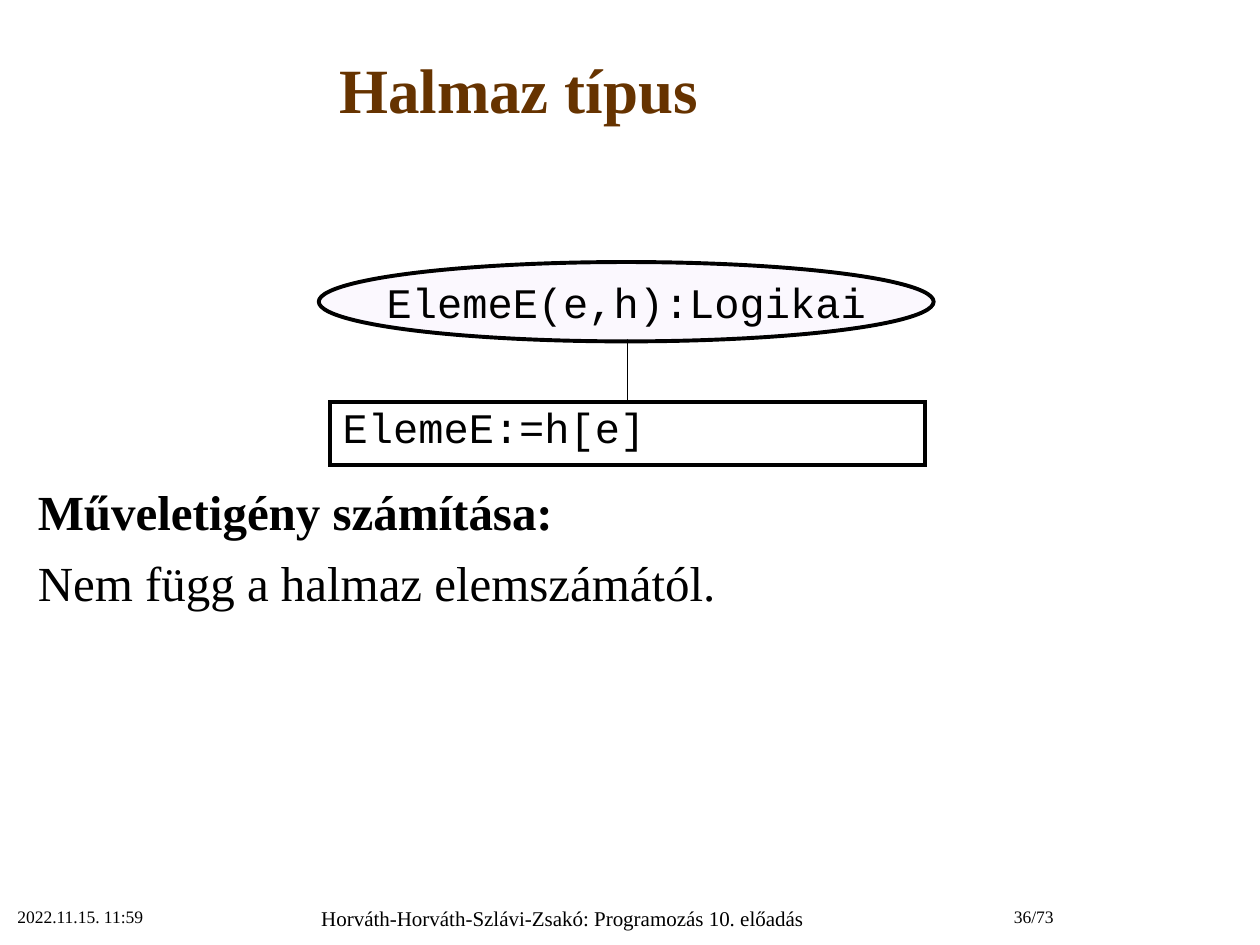
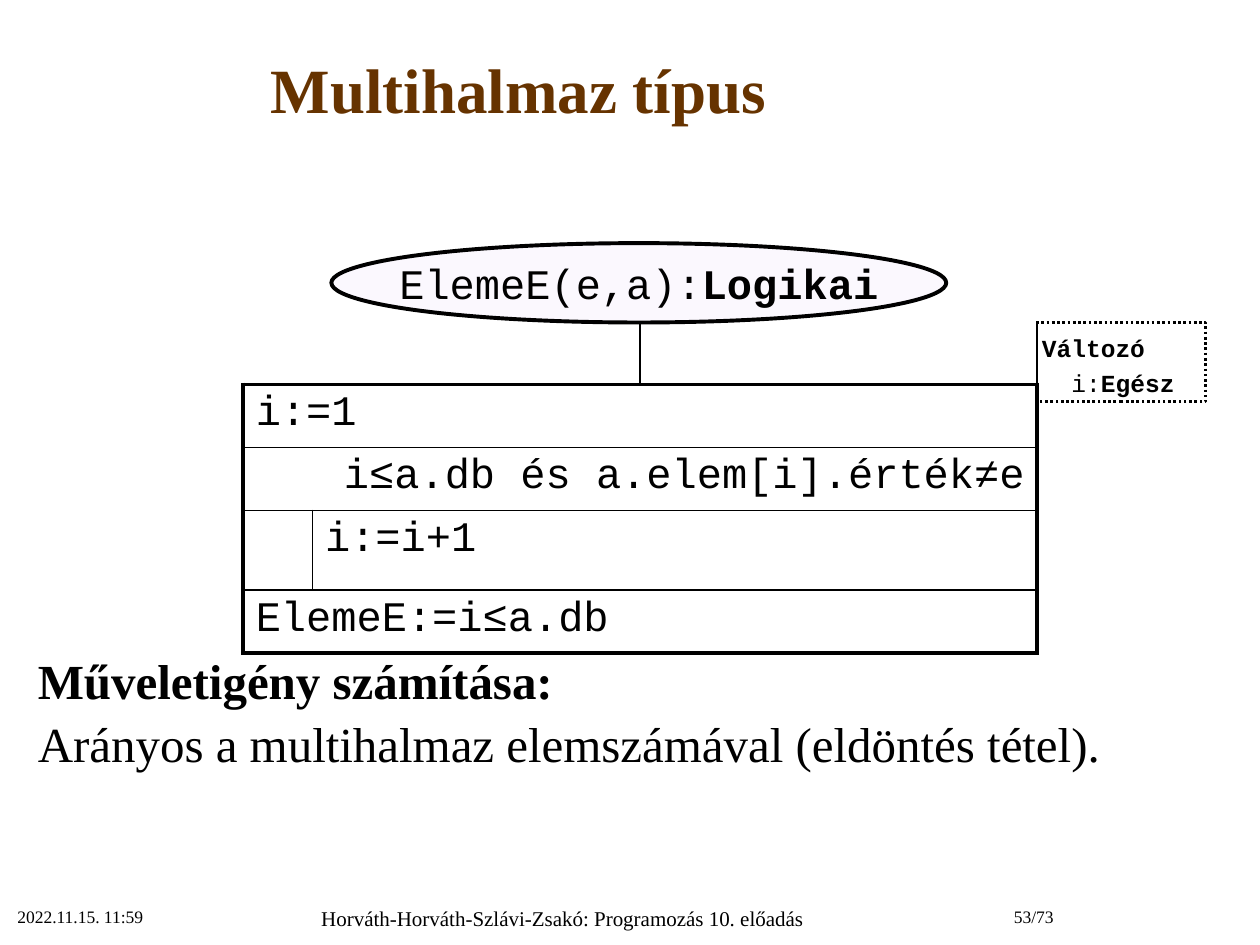
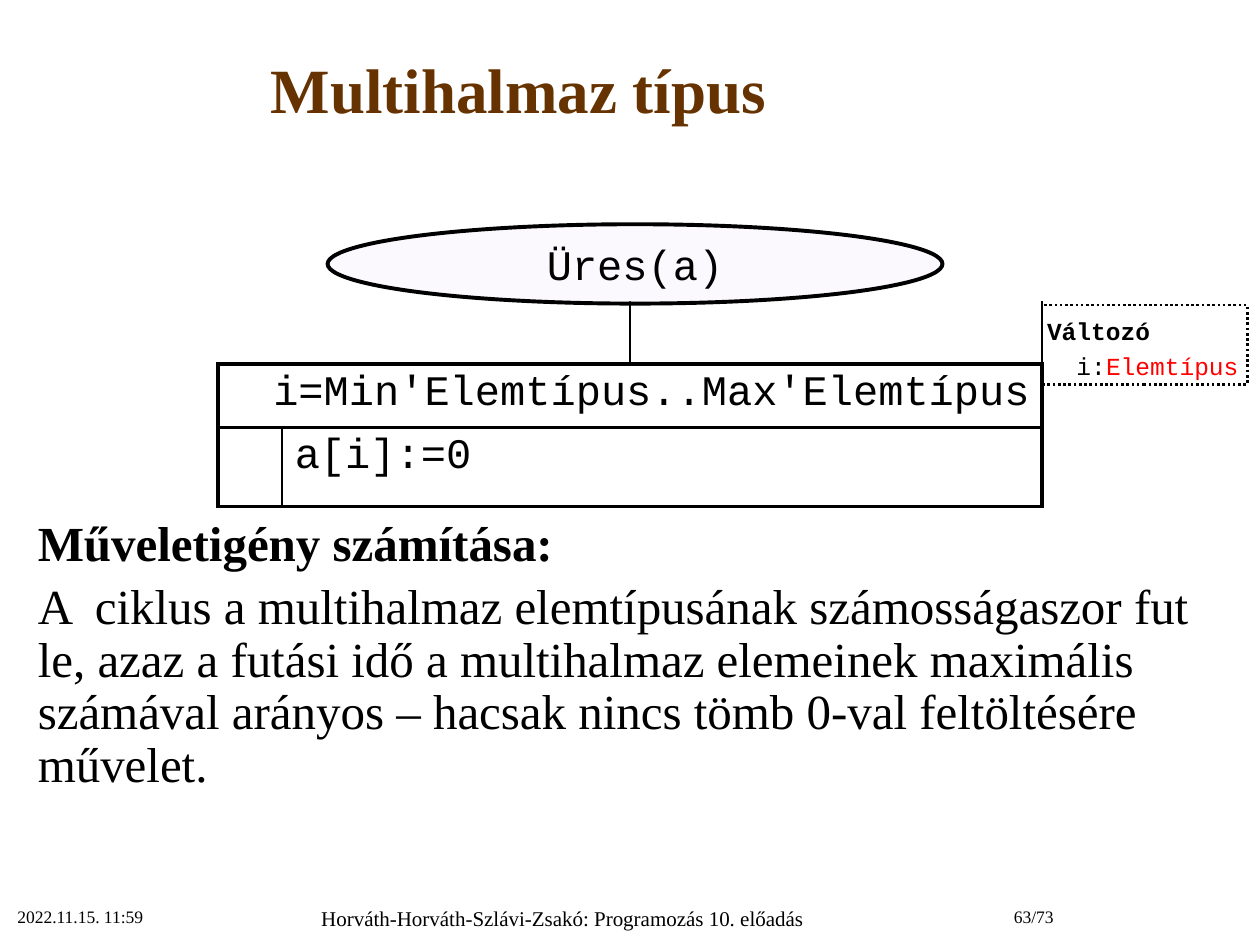
"""Build three lecture slides on set and multiset operations."""
from lxml import etree
from pptx import Presentation, util as u
from pptx.dml import color as dml
from pptx.enum import dml as lines, shapes, text
from pptx.oxml import ns

COLUMNS, ROWS = 100, 75
SERIF, MONO = "Times New Roman", "Courier New"
BLACK, BROWN, RED, LILAC = "000000", "663300", "FF0000", "F3E8FE"
HEAVY, THIN = 2.25, 1
NO_STYLE = "{2D5ABB26-0587-4C30-8999-92F81FD0307C}"
LEFT, CENTER, RIGHT = text.PP_ALIGN.LEFT, text.PP_ALIGN.CENTER, text.PP_ALIGN.RIGHT
DATE = "2022.11.15. 11:59"
FOOTER = "Horváth-Horváth-Szlávi-Zsakó: Programozás 10. előadás"
COST_HEADING = "Műveletigény számítása:"


def rgb(value):
    return dml.RGBColor.from_string(value)


class Deck:
    def __init__(self):
        self.presentation = Presentation()
        self.presentation.slide_width = u.Inches(10)
        self.presentation.slide_height = u.Inches(7.5)
        self.slide = None

    def across(self, columns):
        return round(self.presentation.slide_width * columns / COLUMNS)

    def down(self, rows):
        return round(self.presentation.slide_height * rows / ROWS)

    def box(self, left, top, width, height):
        return self.across(left), self.down(top), self.across(width), self.down(height)

    def place(self, shape, *area):
        shape.left, shape.top, shape.width, shape.height = self.box(*area)

    def add_runs(self, paragraph, content, size, font=SERIF, color=BLACK, bold=False, align=LEFT):
        paragraph.alignment = align
        paragraph.space_before = u.Pt(0)
        runs = [(content, {})] if isinstance(content, str) else content
        for words, changes in runs:
            if words == "\n":
                paragraph.add_line_break()
                continue
            run = paragraph.add_run()
            run.text = words
            run.font.name = font
            run.font.size = u.Pt(size)
            run.font.bold = changes.get("bold", bold)
            run.font.color.rgb = rgb(changes.get("color", color))

    def start(self, title, page):
        self.slide = self.presentation.slides.add_slide(self.presentation.slide_layouts[1])
        shape = self.slide.shapes.title
        self.place(shape, 0, 0.9, 82.3, 12.2)
        frame = shape.text_frame
        frame.auto_size = text.MSO_AUTO_SIZE.NONE
        frame.vertical_anchor = text.MSO_ANCHOR.MIDDLE
        self.add_runs(frame.paragraphs[0], title, 36, color=BROWN, bold=True, align=CENTER)
        self.label(DATE, (0.4, 71.4, 20.8, 3.6), 10, LEFT)
        self.label(FOOTER, (21.2, 71.4, 46.9, 3.6), 12, CENTER)
        self.label(f"{page}/73", (71.9, 71.4, 12.7, 3.6), 10, RIGHT)

    def label(self, words, area, size, align):
        frame = self.slide.shapes.add_textbox(*self.box(*area)).text_frame
        frame.word_wrap = True
        self.add_runs(frame.paragraphs[0], words, size, align=align)

    def cost(self, top, words, gap=6, spacing=u.Pt(30)):
        body = self.slide.placeholders[1]
        self.place(body, 2, top, 98, 70 - top)
        frame = body.text_frame
        frame.auto_size = text.MSO_AUTO_SIZE.NONE
        heading, sentence = frame.paragraphs[0], frame.add_paragraph()
        for paragraph in (heading, sentence):
            properties = paragraph._p.get_or_add_pPr()
            properties.set("marL", "0")
            properties.set("indent", "0")
            etree.SubElement(properties, ns.qn("a:buNone"))
        self.add_runs(heading, COST_HEADING, 28, bold=True)
        self.add_runs(sentence, words, 28)
        sentence.space_before = u.Pt(gap)
        sentence.line_spacing = spacing

    def outline(self, shape, width):
        shape.shadow.inherit = False
        shape.line.color.rgb = rgb(BLACK)
        shape.line.width = u.Pt(width)

    def operation(self, left, top, name):
        shape = self.slide.shapes.add_shape(
            shapes.MSO_SHAPE.OVAL, *self.box(left, top, 48.8, 6.3))
        self.outline(shape, HEAVY)
        shape.fill.solid()
        shape.fill.fore_color.rgb = rgb(LILAC)
        for fill_color in shape.element.spPr.find(ns.qn("a:solidFill")):
            etree.SubElement(fill_color, ns.qn("a:alpha"), val="30000")
        frame = shape.text_frame
        frame.word_wrap = False
        frame.vertical_anchor = text.MSO_ANCHOR.MIDDLE
        self.add_runs(frame.paragraphs[0], name, 24, MONO, align=CENTER)

    def variable(self, left, top, width, kind):
        shape = self.slide.shapes.add_shape(
            shapes.MSO_SHAPE.RECTANGLE, *self.box(left, top, width, 6.3))
        self.outline(shape, 1.5)
        shape.line.dash_style = lines.MSO_LINE.ROUND_DOT
        shape.fill.background()
        frame = shape.text_frame
        frame.word_wrap = True
        frame.vertical_anchor = text.MSO_ANCHOR.TOP
        frame.margin_left = frame.margin_top = frame.margin_bottom = u.Inches(0.04)
        frame.margin_right = 0
        paragraph = frame.paragraphs[0]
        runs = [("Változó", {"bold": True}), ("\n", {}), ("  i:", {}), kind]
        self.add_runs(paragraph, runs, 14, MONO)
        paragraph.line_spacing = u.Pt(20)

    def cell(self, table, row, first, last, borders, words="", align=LEFT):
        cell = table.cell(row, first)
        if last > first:
            cell.merge(table.cell(row, last))
        properties = cell._tc.get_or_add_tcPr()
        for side in "LRTB":
            if side in borders:
                line = etree.SubElement(properties, ns.qn(f"a:ln{side}"),
                                        w=str(u.Pt(borders[side])))
                fill = etree.SubElement(line, ns.qn("a:solidFill"))
                etree.SubElement(fill, ns.qn("a:srgbClr"), val=BLACK)
        cell.fill.background()
        if words:
            self.add_runs(cell.text_frame.paragraphs[0], words, 24, MONO, align=align)

    def structogram(self, left, top, widths, steps):
        heights = [5] + [6.3 if kind == "loop" else 5 for kind, _ in steps]
        frame = self.slide.shapes.add_table(
            len(heights), len(widths), *self.box(left, top, sum(widths), sum(heights)))
        for style in frame.element.iter(ns.qn("a:tableStyleId")):
            style.text = NO_STYLE
        table = frame.table
        table.first_row = table.horz_banding = False
        for column, width in zip(table.columns, widths):
            column.width = self.across(width)
        for row, height in zip(table.rows, heights):
            row.height = self.down(height)
        end = len(widths) - 1
        self.cell(table, 0, 0, end - 1, {"R": THIN, "B": HEAVY})
        self.cell(table, 0, end, end, {"L": THIN, "B": HEAVY})
        for row, (kind, words) in enumerate(steps, 1):
            borders = {"L": HEAVY, "R": HEAVY, "T": HEAVY if row == 1 else THIN,
                       "B": HEAVY if row == len(steps) else THIN}
            if kind == "condition":
                del borders["B"]
                self.cell(table, row, 0, end, borders, words, RIGHT)
            elif kind == "loop":
                margin = {"L": HEAVY, "R": THIN, "B": borders["B"]}
                self.cell(table, row, 0, 0, margin)
                self.cell(table, row, 1, end, {**borders, "L": THIN}, words)
            else:
                self.cell(table, row, 0, end, borders, words)


def main():
    deck = Deck()

    deck.start("Halmaz típus", 36)
    deck.cost(37.7, "Nem függ a halmaz elemszámától.", 7, 1.0)
    deck.structogram(26.2, 26.9, [23.6, 23.6], [("step", "ElemeE:=h[e]")])
    deck.operation(25.3, 20.8, "ElemeE(e,h):Logikai")

    deck.start("Multihalmaz típus", 53)
    deck.cost(51.1, "Arányos a multihalmaz elemszámával (eldöntés tétel).")
    deck.structogram(19.3, 25.5, [5.5, 26, 31.5], [
        ("step", "i:=1"),
        ("condition", "i≤a.db és a.elem[i].érték≠e"),
        ("loop", "i:=i+1"),
        ("step", "ElemeE:=i≤a.db")])
    deck.operation(26.3, 19.3, [("ElemeE(e,a):", {}), ("Logikai", {"bold": True})])
    deck.variable(82.3, 25.6, 13.4, ("Egész", {"bold": True}))

    deck.start("Multihalmaz típus", 63)
    deck.cost(40.2, "A  ciklus a multihalmaz elemtípusának számosságaszor fut le, "
              "azaz a futási idő a multihalmaz elemeinek maximális számával arányos "
              "– hacsak nincs tömb 0-val feltöltésére művelet.")
    deck.structogram(17.3, 23.9, [5.1, 27.6, 32.7], [
        ("condition", "i=Min'Elemtípus..Max'Elemtípus"),
        ("loop", "a[i]:=0")])
    deck.operation(26, 17.8, "Üres(a)")
    deck.variable(82.7, 24.2, 16.3, ("Elemtípus", {"color": RED}))

    deck.presentation.save("out.pptx")


if __name__ == "__main__":
    main()
